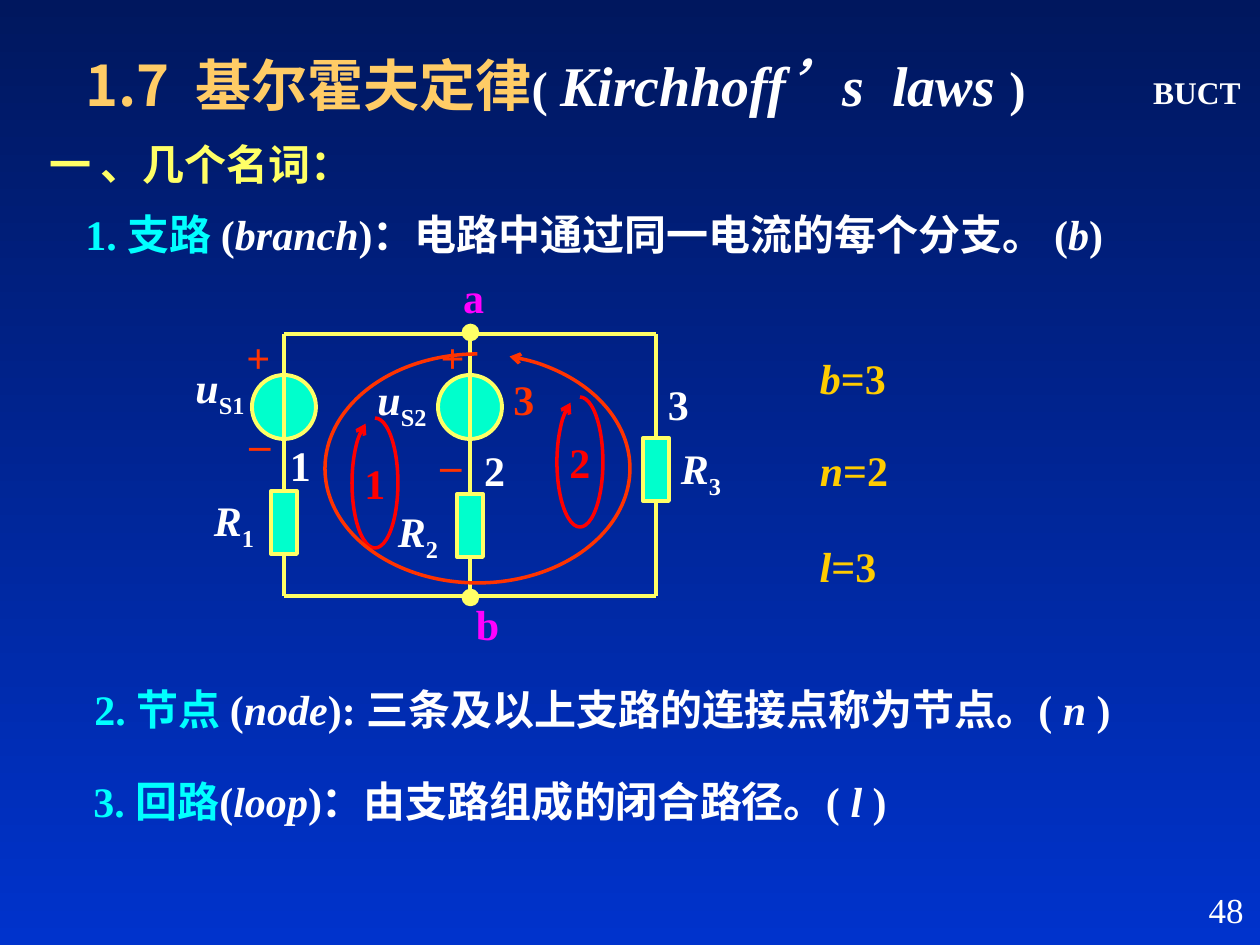
from dataclasses import dataclass
from typing import NamedTuple

from lxml.etree import SubElement
from pptx import Presentation
from pptx.dml.color import RGBColor
from pptx.enum.shapes import MSO_CONNECTOR as Connector, MSO_SHAPE as Shape
from pptx.enum.text import MSO_ANCHOR as Anchor, PP_ALIGN as Align
from pptx.oxml.ns import qn
from pptx.util import Emu, Pt

EMU_PER_PX = 914400 / 126

NAVY = RGBColor(0x00, 0x17, 0x5E)
BLUE = RGBColor(0x00, 0x33, 0xCC)
WHITE = RGBColor(0xFF, 0xFF, 0xFF)
YELLOW = RGBColor(0xFF, 0xFF, 0x66)
GOLD = RGBColor(0xFF, 0xCC, 0x00)
SAND = RGBColor(0xFF, 0xCC, 0x66)
CYAN = RGBColor(0x00, 0xFF, 0xFF)
MINT = RGBColor(0x00, 0xFF, 0xCC)
MAGENTA = RGBColor(0xFF, 0x00, 0xFF)
RED = RGBColor(0xFF, 0x00, 0x00)
ORANGE = RGBColor(0xFF, 0x33, 0x00)

SERIF = "Times New Roman"
CJK = "Noto Sans CJK SC"


class Box(NamedTuple):
    left: int
    top: int
    width: int
    height: int = 63


@dataclass
class Run:
    text: str
    color: RGBColor = WHITE
    italic: bool = False
    size: int = 24
    bold: bool = True
    font: str = SERIF
    subscript: bool = False


@dataclass
class Label:
    box: Box
    runs: list[Run]
    align: Align = Align.CENTER
    anchor: Anchor = Anchor.MIDDLE
    wrap: bool = False


@dataclass
class Branch:
    x: int
    resistor_top: int
    has_source: bool = True


@dataclass
class Loop:
    box: Box
    color: RGBColor
    end_angle: int
    mirrored: bool = False


def px(value: int) -> Emu:
    return Emu(round(value * EMU_PER_PX))


def place(box: Box) -> list[Emu]:
    return [px(value) for value in box]


def plain(text: str, box: Box, color: RGBColor = WHITE) -> Label:
    return Label(box, [Run(text, color)])


def symbol(name: str, suffix: str, box: Box) -> Label:
    """Italic quantity with an upright subscript."""
    return Label(box, [Run(name, italic=True), Run(suffix, subscript=True)])


def count(name: str, number: int, box: Box) -> Label:
    return Label(box, [Run(name, GOLD, True), Run(f"={number}", GOLD)])


def definition(box: Box, term: str, name: str, meaning: str, letter: str, end: str) -> Label:
    runs = [Run(term, CYAN), Run("("), Run(name, italic=True),
            Run(meaning), Run(letter, italic=True), Run(end)]
    return Label(box, runs, Align.LEFT, wrap=True)


TOP, BOTTOM = 334, 596
BRANCHES = [Branch(284, 491), Branch(470, 494), Branch(656, 438, False)]
NODES = [Box(463, 325, 15, 15), Box(463, 590, 15, 15)]
LOOPS = [
    Loop(Box(352, 418, 46, 130), RED, 261),
    Loop(Box(557, 397, 46, 130), RED, 261),
    Loop(Box(325, 354, 305, 229), ORANGE, 254, True),
]

LABELS = [
    plain("1", Box(273, 433, 55)),
    plain("2", Box(467, 438, 55)),
    plain("3", Box(651, 372, 55)),
    plain("a", Box(446, 265, 55), MAGENTA),
    plain("b", Box(460, 592, 55), MAGENTA),
    plain("+", Box(234, 325, 49), ORANGE),
    plain("_", Box(237, 397, 45), ORANGE),
    plain("+", Box(428, 325, 49), ORANGE),
    plain("_", Box(428, 418, 45), ORANGE),
    plain("1", Box(352, 451, 45), RED),
    plain("2", Box(557, 430, 45), RED),
    plain("3", Box(501, 367, 45), ORANGE),
    symbol("u", "S1", Box(170, 355, 100, 71)),
    symbol("u", "S2", Box(352, 367, 100, 71)),
    symbol("R", "1", Box(184, 488, 100, 71)),
    symbol("R", "2", Box(368, 499, 100, 71)),
    symbol("R", "3", Box(651, 436, 100, 71)),
    count("b", 3, Box(802, 346, 102)),
    count("n", 2, Box(803, 438, 102)),
    count("l", 3, Box(797, 534, 102)),
    Label(Box(73, 44, 1128, 81),
          [Run("1.7  基尔霍夫定律", SAND, size=32, font=CJK), Run("( ", size=28),
           Run("Kirchhoff’s  laws ", italic=True, size=32), Run(")", size=28)],
          Align.LEFT, wrap=True),
    Label(Box(37, 132, 519), [Run("一 、几个名词：", YELLOW, font=CJK)], Align.LEFT, wrap=True),
    definition(Box(73, 202, 1155), "1. 支路 ", "branch",
               ")：电路中通过同一电流的每个分支。 (", "b", ")"),
    definition(Box(82, 677, 1147), "2. 节点 ", "node",
               "): 三条及以上支路的连接点称为节点。( ", "n", " )"),
    definition(Box(81, 769, 955), "3. 回路", "loop",
               ")：由支路组成的闭合路径。( ", "l", " )"),
    Label(Box(1135, 67, 124, 50), [Run("BUCT", size=18)]),
    Label(Box(994, 882, 262), [Run("48", size=20, bold=False)], Align.RIGHT, Anchor.TOP, True),
]


def add_label(slide, label: Label) -> None:
    frame = slide.shapes.add_textbox(*place(label.box)).text_frame
    frame.word_wrap = label.wrap
    frame.vertical_anchor = label.anchor
    paragraph = frame.paragraphs[0]
    paragraph.alignment = label.align
    for item in label.runs:
        run = paragraph.add_run()
        run.text = item.text
        run.font.color.rgb = item.color
        formats = {"name": item.font, "size": Pt(item.size),
                   "bold": item.bold, "italic": item.italic}
        for attribute, value in formats.items():
            setattr(run.font, attribute, value)
        properties = run._r.get_or_add_rPr()
        SubElement(properties, qn("a:ea")).set("typeface", CJK)
        if item.subscript:
            properties.set("baseline", "-25000")


def add_part(slide, kind: Shape, box: Box, fill: RGBColor, weight: float = 2.25) -> None:
    """Circuit part with a yellow outline."""
    shape = slide.shapes.add_shape(kind, *place(box))
    shape.shadow.inherit = False
    shape.fill.solid()
    shape.fill.fore_color.rgb = fill
    shape.line.color.rgb = YELLOW
    shape.line.width = Pt(weight)


def add_wire(slide, x1: int, y1: int, x2: int, y2: int) -> None:
    wire = slide.shapes.add_connector(Connector.STRAIGHT, px(x1), px(y1), px(x2), px(y2))
    wire.line.color.rgb = YELLOW
    wire.line.width = Pt(2.25)
    SubElement(wire._element.spPr, qn("a:effectLst"))


def add_loop(slide, loop: Loop) -> None:
    """Arc from the top round to end_angle, with an arrowhead at its end."""
    arc = slide.shapes.add_shape(Shape.ARC, *place(loop.box))
    arc.shadow.inherit = False
    arc.fill.background()
    for index, angle in enumerate((270, loop.end_angle)):
        arc.adjustments[index] = angle * 0.6
    arc.line.color.rgb = loop.color
    arc.line.width = Pt(2)
    SubElement(arc.line._get_or_add_ln(), qn("a:tailEnd")).set("type", "arrow")
    if loop.mirrored:
        arc._element.spPr.find(qn("a:xfrm")).set("flipH", "1")


def add_circuit(slide) -> None:
    for branch in BRANCHES:
        if branch.has_source:
            add_part(slide, Shape.OVAL, Box(branch.x - 32, 375, 64, 64), MINT)
        add_wire(slide, branch.x, TOP, branch.x, BOTTOM)
        add_part(slide, Shape.RECTANGLE, Box(branch.x - 13, branch.resistor_top, 26), MINT)
    for y in (TOP, BOTTOM):
        add_wire(slide, BRANCHES[0].x, y, BRANCHES[-1].x, y)
    for node in NODES:
        add_part(slide, Shape.OVAL, node, YELLOW, 1.5)
    for loop in LOOPS:
        add_loop(slide, loop)


def main() -> None:
    presentation = Presentation()
    presentation.slide_width, presentation.slide_height = px(1260), px(945)
    slide = presentation.slides.add_slide(presentation.slide_layouts[6])
    background = slide.background.fill
    background.gradient()
    background.gradient_angle = 270
    for stop, color in zip(background.gradient_stops, (NAVY, BLUE)):
        stop.color.rgb = color
    add_circuit(slide)
    for label in LABELS:
        add_label(slide, label)
    presentation.save("out.pptx")


if __name__ == "__main__":
    main()
